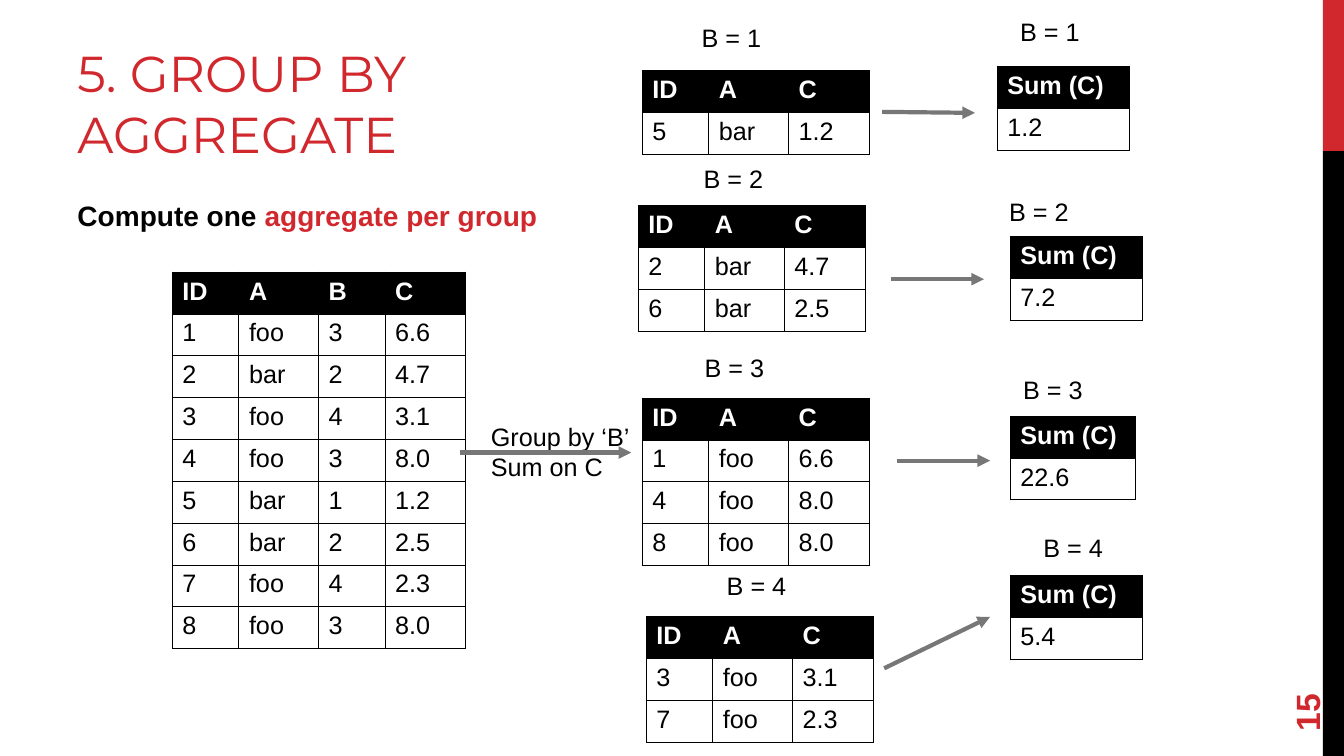
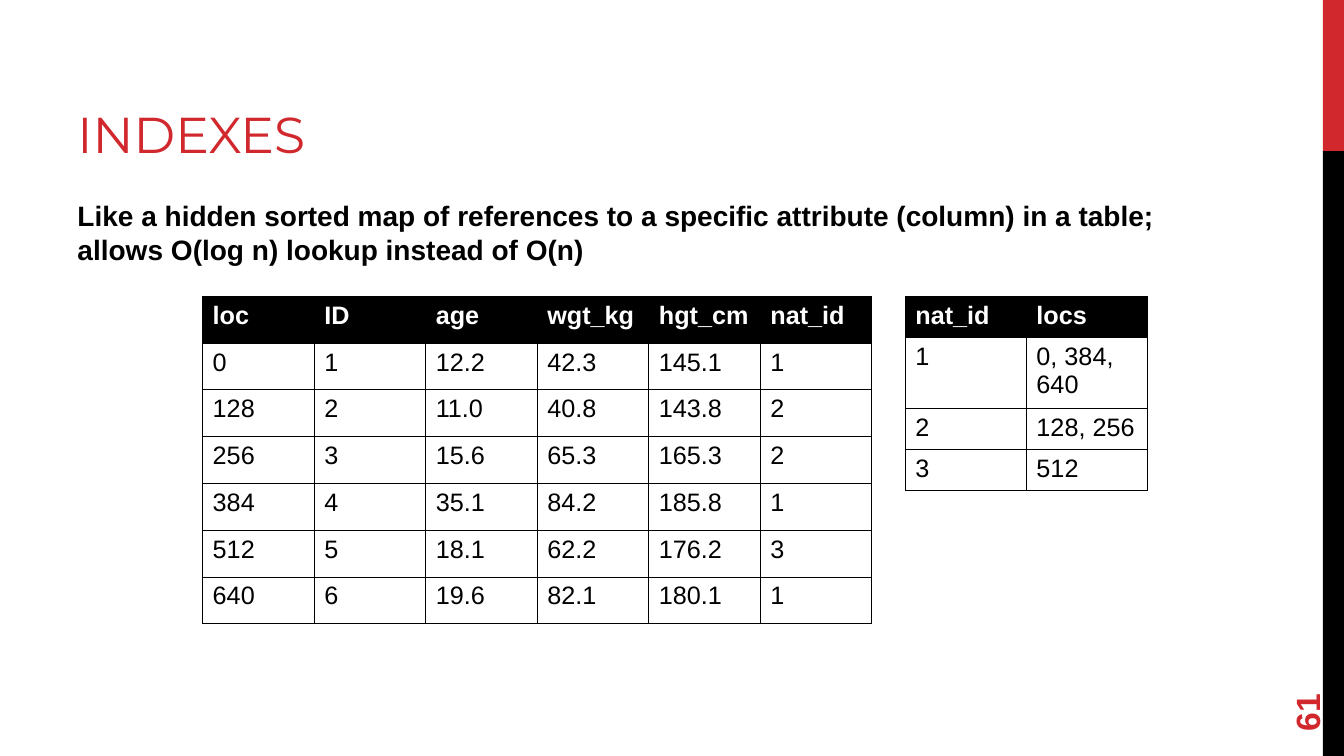
from pptx import Presentation
from pptx.dml.color import RGBColor
from pptx.enum.shapes import MSO_CONNECTOR, MSO_SHAPE
from pptx.enum.text import MSO_ANCHOR, MSO_AUTO_SIZE
from pptx.oxml.ns import qn
from pptx.util import Inches, Pt
from lxml.etree import SubElement

RED, BLACK, WHITE, GRAY = "D1282E", "000000", "FFFFFF", "777777"
TITLE_FONT, TEXT_FONT = "Montserrat", "Arial"
ROW_HEIGHT = 0.83 / 2
BANDS = [(0, 1.5, RED), (1.5, 6, BLACK)]

AGGREGATE = {
    "title": "5. GROUP BY AGGREGATE",
    "title_width": 6,
    "body": [("Compute one ", BLACK), ("aggregate per group", RED)],
    "number": "15",
}
INDEXES = {
    "title": "INDEXES",
    "title_width": 8.44,
    "body": [("Like a hidden sorted map of references to a specific attribute (column) in a table; "
              "allows O(log n) lookup instead of O(n)", BLACK)],
    "number": "61",
}

COLUMN_WIDTHS = {"ID": 0.66, "A": 0.79, "B": 0.66, "C": 0.8}
RECORDS = [
    ("1", "foo", "3", "6.6"),
    ("2", "bar", "2", "4.7"),
    ("3", "foo", "4", "3.1"),
    ("4", "foo", "3", "8.0"),
    ("5", "bar", "1", "1.2"),
    ("6", "bar", "2", "2.5"),
    ("7", "foo", "4", "2.3"),
    ("8", "foo", "3", "8.0"),
]
GROUP_STEP = ["Group by ‘B’", "Sum on C"]
GROUPS = [
    {"key": "1", "label": (6.86, 0.17), "table": (6.37, 0.7), "arrow": (8.75, 1.11, 9.67, 1.12),
     "sum_label": (10.02, 0.11), "sum_table": (9.89, 0.66), "sum_width": 1.31},
    {"key": "2", "label": (6.88, 1.57), "table": (6.33, 2.04), "arrow": (8.84, 2.77, 9.76, 2.77),
     "sum_label": (9.91, 1.9), "sum_table": (10.02, 2.35), "sum_width": 1.31},
    {"key": "3", "label": (6.89, 3.45), "table": (6.37, 3.95), "arrow": (8.9, 4.57, 9.82, 4.57),
     "sum_label": (10.05, 3.66), "sum_table": (10.02, 4.13), "sum_width": 1.24},
    {"key": "4", "label": (7.11, 5.61), "table": (6.41, 6.12), "arrow": (8.77, 6.63, 9.82, 6.12),
     "sum_label": (10.25, 5.23), "sum_table": (10.02, 5.71), "sum_width": 1.31},
]

PEOPLE = [
    ("loc", "ID", "age", "wgt_kg", "hgt_cm", "nat_id"),
    ("0", "1", "12.2", "42.3", "145.1", "1"),
    ("128", "2", "11.0", "40.8", "143.8", "2"),
    ("256", "3", "15.6", "65.3", "165.3", "2"),
    ("384", "4", "35.1", "84.2", "185.8", "1"),
    ("512", "5", "18.1", "62.2", "176.2", "3"),
    ("640", "6", "19.6", "82.1", "180.1", "1"),
]
NATION_INDEX = [
    ("nat_id", "locs"),
    ("1", "0, 384, 640"),
    ("2", "128, 256"),
    ("3", "512"),
]


def color(value):
    return RGBColor.from_string(value)


def add_span(para, text, size, ink=BLACK, bold=False, font=TEXT_FONT):
    span = para.add_run()
    span.text = text
    span.font.name = font
    span.font.size = Pt(size)
    span.font.bold = bold
    span.font.color.rgb = color(ink)


def add_box(page, left, top, width, height, anchor=MSO_ANCHOR.TOP):
    box = page.shapes.add_textbox(Inches(left), Inches(top), Inches(width), Inches(height))
    box.text_frame.word_wrap = True
    box.text_frame.vertical_anchor = anchor
    return box


def add_label(page, left, top, width, height, lines):
    frame = add_box(page, left, top, width, height).text_frame
    frame.auto_size = MSO_AUTO_SIZE.SHAPE_TO_FIT_TEXT
    for index, line in enumerate(lines):
        para = frame.add_paragraph() if index else frame.paragraphs[0]
        add_span(para, line, 18)


def add_arrow(page, left, top, right, bottom):
    arrow = page.shapes.add_connector(
        MSO_CONNECTOR.STRAIGHT, Inches(left), Inches(top), Inches(right), Inches(bottom))
    arrow.line.color.rgb = color(GRAY)
    arrow.line.width = Pt(3)
    SubElement(arrow.line._get_or_add_ln(), qn("a:tailEnd"), type="triangle")
    SubElement(arrow._element.spPr, qn("a:effectLst"))


def add_borders(cell):
    properties = cell._tc.get_or_add_tcPr()
    for side in ("a:lnL", "a:lnR", "a:lnT", "a:lnB"):
        line = SubElement(properties, qn(side), w=str(Pt(0.75)))
        fill = SubElement(line, qn("a:solidFill"))
        SubElement(fill, qn("a:srgbClr"), val=BLACK)


def add_grid(page, left, top, widths, heights, rows):
    table = page.shapes.add_table(
        len(rows), len(widths), Inches(left), Inches(top),
        Inches(sum(widths)), Inches(sum(heights))).table
    table.horz_banding = False
    for column, width in zip(table.columns, widths):
        column.width = Inches(width)
    for index, (row, height, texts) in enumerate(zip(table.rows, heights, rows)):
        row.height = Inches(height)
        header = index == 0
        for cell, text in zip(row.cells, texts):
            add_borders(cell)
            if header:
                cell.fill.solid()
                cell.fill.fore_color.rgb = color(BLACK)
            else:
                cell.fill.background()
            add_span(cell.text_frame.paragraphs[0], text, 18, WHITE if header else BLACK, header)


def add_records(page, left, top, names, records):
    widths = [COLUMN_WIDTHS[name] for name in names]
    rows = [names] + records
    add_grid(page, left, top, widths, [ROW_HEIGHT] * len(rows), rows)


def add_page(deck, content):
    page = deck.slides.add_slide(deck.slide_layouts[6])
    for top, height, fill in BANDS:
        band = page.shapes.add_shape(
            MSO_SHAPE.RECTANGLE, Inches(13.12), Inches(top), Inches(0.21), Inches(height))
        band.shadow.inherit = False
        band.fill.solid()
        band.fill.fore_color.rgb = color(fill)
        band.line.fill.background()
    title = add_box(page, 0.67, 0.17, content["title_width"], 1.5, MSO_ANCHOR.BOTTOM)
    add_span(title.text_frame.paragraphs[0], content["title"], 36, RED, font=TITLE_FONT)
    body = add_box(page, 0.67, 1.92, 11.11, 4.78)
    for text, ink in content["body"]:
        add_span(body.text_frame.paragraphs[0], text, 20, ink, True)
    number = add_box(page, 12.24, 6.37, 1.44, 0.53, MSO_ANCHOR.MIDDLE)
    number.rotation = 270
    add_span(number.text_frame.paragraphs[0], content["number"], 24, RED, True)
    return page


def build_aggregate(deck):
    page = add_page(deck, AGGREGATE)
    add_records(page, 1.71, 2.7, ("ID", "A", "B", "C"), RECORDS)
    add_label(page, 4.77, 4.13, 1.96, 0.7, GROUP_STEP)
    add_arrow(page, 4.56, 4.49, 6.26, 4.49)
    for group in GROUPS:
        members = [(key, a, c) for key, a, b, c in RECORDS if b == group["key"]]
        total = sum(float(c) for key, a, c in members)
        for place in ("label", "sum_label"):
            add_label(page, *group[place], 0.8, 0.4, [f"B = {group['key']}"])
        add_records(page, *group["table"], ("ID", "A", "C"), members)
        add_arrow(page, *group["arrow"])
        add_grid(page, *group["sum_table"], [group["sum_width"]], [ROW_HEIGHT] * 2,
                 [("Sum (C)",), (f"{total:.1f}",)])


def build_indexes(deck):
    page = add_page(deck, INDEXES)
    add_grid(page, 2.01, 2.94, [6.64 / 6] * 6, [3.25 / 7] * 7, PEOPLE)
    add_grid(page, 8.98, 2.94, [1.2] * 2, [0.41, 0.69, 0.41, 0.41], NATION_INDEX)


def main():
    deck = Presentation()
    deck.slide_width = Inches(13.33)
    deck.slide_height = Inches(7.5)
    build_aggregate(deck)
    build_indexes(deck)
    deck.save("out.pptx")


if __name__ == "__main__":
    main()
